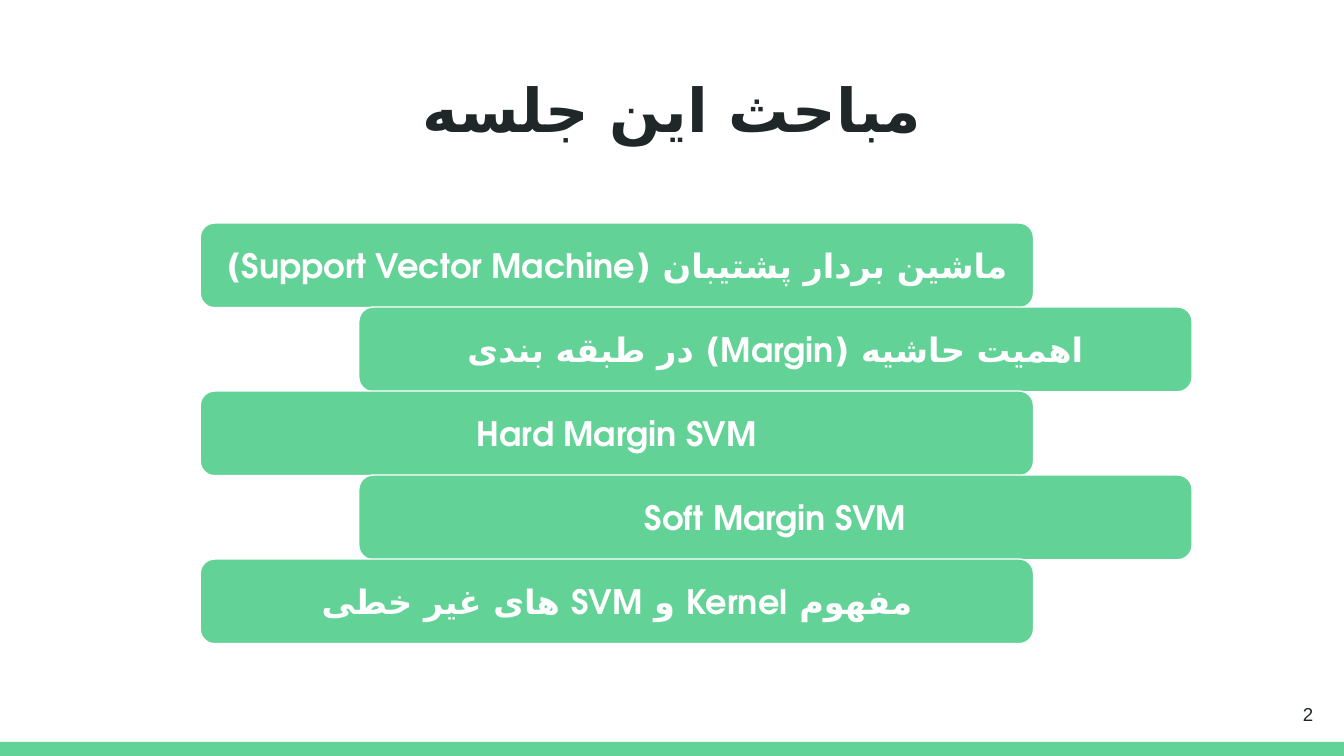
"""Build the session agenda slide with staggered topic bars."""
import pptx
import pptx.dml.color
import pptx.enum.shapes
import pptx.enum.text
import pptx.oxml.ns
import pptx.util
from lxml import etree

Inches = pptx.util.Inches
ALIGN = pptx.enum.text.PP_ALIGN
SHAPES = pptx.enum.shapes.MSO_SHAPE
COLORS = {"green": "63D297", "dark": "202729", "white": "FFFFFF"}
HEADING_FONT = "TeX Gyre Adventor"
PERSIAN_FONT = "DejaVu Sans"
TOPICS = [
    ("ماشین بردار پشتیبان (Support Vector Machine)", True),
    ("اهمیت حاشیه (Margin) در طبقه بندی", True),
    ("Hard Margin SVM", False),
    ("Soft Margin SVM", False),
    ("مفهوم Kernel و SVM های غیر خطی", True),
]
BAR_LEFTS = [1.49, 2.67]
FIRST_TOP, LAST_TOP = 1.66, 4.16
BAR_STEP = (LAST_TOP - FIRST_TOP) / (len(TOPICS) - 1)


def rgb(name):
    return pptx.dml.color.RGBColor.from_string(COLORS[name])


def write_text(shape, text, font_format, color, align, margin=0.1, rtl=False):
    frame = shape.text_frame
    frame_format = {
        "word_wrap": True,
        "auto_size": pptx.enum.text.MSO_AUTO_SIZE.NONE,
        "vertical_anchor": pptx.enum.text.MSO_ANCHOR.MIDDLE,
        "margin_left": Inches(0.1),
        "margin_right": Inches(0.1),
        "margin_top": Inches(margin),
        "margin_bottom": Inches(margin),
    }
    for name, value in frame_format.items():
        setattr(frame, name, value)
    paragraph = frame.paragraphs[0]
    paragraph.alignment = align
    run = paragraph.add_run()
    run.text = text
    for name, value in font_format.items():
        setattr(run.font, name, value)
    run.font.color.rgb = rgb(color)
    if rtl:
        paragraph._p.get_or_add_pPr().set("rtl", "1")
        complex_font = etree.SubElement(run._r.get_or_add_rPr(), pptx.oxml.ns.qn("a:cs"))
        complex_font.set("typeface", PERSIAN_FONT)


presentation = pptx.Presentation()
presentation.slide_width = Inches(10)
presentation.slide_height = Inches(5.625)
slide = presentation.slides.add_slide(presentation.slide_layouts[5])
slide.background.fill.solid()
slide.background.fill.fore_color.rgb = rgb("white")

footer_band = slide.shapes.add_shape(
    SHAPES.RECTANGLE, Inches(0), Inches(5.52), Inches(10), Inches(0.11))
footer_band.shadow.inherit = False
footer_band.fill.solid()
footer_band.fill.fore_color.rgb = rgb("green")
footer_band.line.fill.background()

title = slide.shapes.title
title_place = {"left": 0.34, "top": 0.49, "width": 9.32, "height": 0.63}
for name, value in title_place.items():
    setattr(title, name, Inches(value))
title_font = {"name": HEADING_FONT, "size": pptx.util.Pt(32.4), "bold": True}
write_text(title, "مباحث این جلسه", title_font, "dark", ALIGN.CENTER, margin=0.05, rtl=True)

page_number = slide.shapes.add_textbox(Inches(9.27), Inches(5.1), Inches(0.6), Inches(0.43))
number_font = {"name": "Arial", "size": pptx.util.Pt(10)}
write_text(page_number, "2", number_font, "dark", ALIGN.RIGHT)

topic_font = {"name": HEADING_FONT, "size": pptx.util.Pt(18), "bold": True}
for index, (topic, rtl) in enumerate(TOPICS):
    bar = slide.shapes.add_shape(
        SHAPES.ROUNDED_RECTANGLE, Inches(BAR_LEFTS[index % 2]),
        Inches(FIRST_TOP + index * BAR_STEP), Inches(6.2), Inches(0.63))
    bar.shadow.inherit = False
    bar.adjustments[0] = 0.17
    bar.fill.solid()
    bar.fill.fore_color.rgb = rgb("green")
    bar.line.color.rgb = rgb("white")
    bar.line.width = pptx.util.Pt(0.75)
    write_text(bar, topic, topic_font, "white", ALIGN.CENTER, rtl=rtl)

presentation.save("out.pptx")
